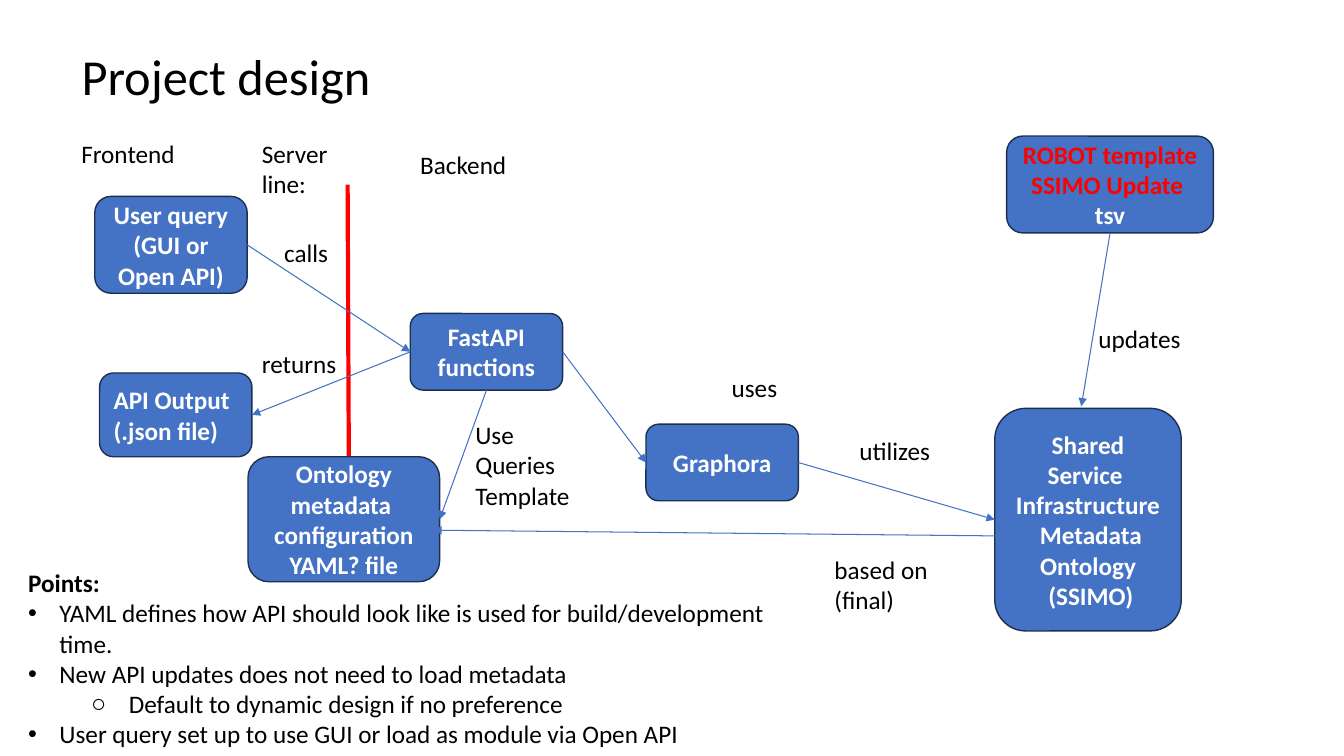
from collections import namedtuple
from dataclasses import dataclass

from lxml.etree import SubElement
from pptx import Presentation
from pptx.dml.color import RGBColor as Rgb
from pptx.enum.shapes import MSO_CONNECTOR as Connector, MSO_SHAPE as Preset
from pptx.enum.text import MSO_ANCHOR as Anchor, MSO_AUTO_SIZE as AutoSize, PP_ALIGN as Align
from pptx.oxml.ns import qn
from pptx.util import Cm, Pt

Box = namedtuple("Box", "left top width height")


@dataclass(frozen=True)
class Theme:
    """Colours, font and sizes used on the slide."""
    font: str = "Calibri"
    title: Pt = Pt(36)
    body: Pt = Pt(18)
    ink: Rgb = Rgb(0, 0, 0)
    paper: Rgb = Rgb(255, 255, 255)
    accent: Rgb = Rgb(0x44, 0x72, 0xC4)
    edge: Rgb = Rgb(0x1C, 0x30, 0x52)
    alert: Rgb = Rgb(255, 0, 0)
    thin: Pt = Pt(0.75)
    outline: Pt = Pt(1)
    thick: Pt = Pt(3)


THEME = Theme()
TOP, LEFT, BOTTOM, RIGHT = range(4)  # connection sites of a node


def apply(target, values):
    """Set every attribute in a dict of format values."""
    for name, value in values.items():
        setattr(target, name, value)


def inside(region, left, top, width, height):
    """Return lengths for a part placed relative to its region."""
    return [Cm(n) for n in (region.left + left, region.top + top, width, height)]


def write_lines(frame, lines, color, size=THEME.body, bold=False, align=Align.LEFT):
    """Write one paragraph per line and return the paragraphs."""
    for index, line in enumerate(lines):
        para = frame.paragraphs[0] if index == 0 else frame.add_paragraph()
        para.alignment = align
        span = para.add_run()
        span.text = line
        apply(span.font, {"name": THEME.font, "size": size, "bold": bold})
        span.font.color.rgb = color
    return frame.paragraphs


def add_node(page, place, lines, align=Align.CENTER):
    """Add a rounded blue box with bold text."""
    node = page.shapes.add_shape(Preset.ROUNDED_RECTANGLE, *place)
    node.shadow.inherit = False
    node.fill.solid()
    node.fill.fore_color.rgb = THEME.accent
    node.line.color.rgb = THEME.edge
    node.line.width = THEME.outline
    apply(node.text_frame, {"word_wrap": True, "vertical_anchor": Anchor.MIDDLE})
    write_lines(node.text_frame, lines, THEME.paper, bold=True, align=align)
    return node


def add_label(page, place, lines, pad=0.13):
    """Add plain text and return its paragraphs."""
    frame = page.shapes.add_textbox(*place).text_frame
    apply(frame, {"word_wrap": True, "auto_size": AutoSize.SHAPE_TO_FIT_TEXT,
                  "margin_top": Cm(pad), "margin_bottom": Cm(pad)})
    return write_lines(frame, lines, THEME.ink)


def add_line(page, start=(0, 0), end=(0, 0), color=THEME.accent, width=THEME.thin):
    """Add a straight line without shadow."""
    line = page.shapes.add_connector(Connector.STRAIGHT, *map(Cm, (*start, *end)))
    line.line.color.rgb = color
    line.line.width = width
    SubElement(line.element.spPr, qn("a:effectLst"))
    return line


def add_arrow(page, start, end):
    """Join two ends, each a point or a (node, site) pair, with an arrow."""
    points = [(0, 0) if hasattr(e[0], "text_frame") else e for e in (start, end)]
    arrow = add_line(page, *points)
    for place, connect in ((start, arrow.begin_connect), (end, arrow.end_connect)):
        if hasattr(place[0], "text_frame"):
            connect(*place)
    SubElement(arrow.line._get_or_add_ln(), qn("a:tailEnd"), type="triangle")


def add_bullet(para, char, margin, hang, level=0):
    """Give a paragraph a hanging bullet."""
    para.level = level
    props = para._p.get_or_add_pPr()
    props.set("marL", str(Cm(margin)))
    props.set("indent", str(-Cm(hang)))
    SubElement(SubElement(props, qn("a:buClr")), qn("a:srgbClr"), val=str(THEME.ink))
    SubElement(props, qn("a:buFont"), typeface="Arial")
    SubElement(props, qn("a:buChar"), char=char)


def build_title(page, box):
    """Place and format the slide title."""
    title = page.shapes.title
    apply(title, dict(zip(box._fields, map(Cm, box))))
    apply(title.text_frame, {"vertical_anchor": Anchor.MIDDLE, "auto_size": AutoSize.NONE,
                             "word_wrap": True})
    paras = write_lines(title.text_frame, ["Project design"], THEME.ink, THEME.title)
    paras[0].line_spacing = 0.9


def build_frontend(page, box):
    """Draw the user side and the server line; return its nodes."""
    add_line(page, (box.left + 6.96, box.top + 1.3), (box.left + 6.99, box.top + 8.16),
             THEME.alert, THEME.thick)
    for place, lines in (((0, 0, 3.56, 1.02), ["Frontend"]),
                         ((4.55, 0, 3.56, 1.8), ["Server", "line:"]),
                         ((5.11, 2.49, 1.7, 1.02), ["calls"]),
                         ((4.55, 5.29, 2.79, 1.02), ["returns"])):
        add_label(page, inside(box, *place), lines)
    query = add_node(page, inside(box, 0.59, 1.6, 3.84, 2.44),
                     ["User query", "(GUI or Open API)"])
    output = add_node(page, inside(box, 0.71, 6.05, 3.84, 2.11),
                      ["API Output", "(.json file)"], Align.LEFT)
    config = add_node(page, inside(box, 4.45, 8.16, 4.83, 3.15),
                      ["Ontology metadata ", "configuration", "YAML? file"])
    return query, output, config


def build_backend(page, box):
    """Draw the service side; return its nodes."""
    for place, lines, pad in (((0, 0, 3.56, 1.02), ["Backend"], 0.13),
                              ((7.85, 5.62, 1.7, 1.02), ["uses"], 0.13),
                              ((1.39, 6.81, 3.35, 2.57), ["Use", "Queries", "Template"], 0.13),
                              ((11.07, 7.09, 3.07, 1.27), ["utilizes"], 0.25),
                              ((10.44, 10.09, 3.07, 2.06), ["based on", "(final)"], 0.25)):
        add_label(page, inside(box, *place), lines, pad)
    functions = add_node(page, inside(box, 0, 4.27, 3.84, 1.93), ["FastAPI functions"])
    store = add_node(page, inside(box, 5.94, 7.06, 3.84, 1.93), ["Graphora"])
    return functions, store


def build_ontology(page, box):
    """Draw the ontology and its update template; return both nodes."""
    update = add_node(page, inside(box, 0.3, 0, 5.21, 2.44),
                      ["ROBOT template", "SSIMO Update\u00a0", "tsv"])
    for para in update.text_frame.paragraphs[:2]:
        para.runs[0].font.color.rgb = THEME.alert
    ontology = add_node(page, inside(box, 0, 6.86, 4.7, 5.61),
                        ["Shared Service\u00a0", "Infrastructure\u00a0Metadata",
                         "Ontology", "\u00a0(SSIMO)"])
    add_label(page, inside(box, 2.36, 4.6, 2.79, 1.02), ["updates"])
    return update, ontology


def build_points(page, box):
    """Write the bulleted notes."""
    heading, *points = add_label(page, inside(box, 0, 0, box.width, box.height), [
        "Points:",
        "YAML defines how API should look like is used for build/development time.",
        "New API updates does not need to load metadata",
        "Default to dynamic design if no preference",
        "User query set up to use GUI or load as module via Open API"])
    heading.runs[0].font.bold = True
    for index, para in enumerate(points):
        if index == 2:
            add_bullet(para, "\u25cb", 2.54, 0.95, level=1)
        else:
            add_bullet(para, "\u2022", 0.79, 0.79)


def build_slide(deck):
    """Build the project design slide."""
    page = deck.slides.add_slide(deck.slide_layouts[5])
    build_title(page, Box(1.8, 1.02, 29.21, 1.93))
    query, output, config = build_frontend(page, Box(1.8, 3.35, 9.3, 11.3))
    functions, store = build_backend(page, Box(10.34, 3.63, 14.2, 12.2))
    update, ontology = build_ontology(page, Box(25.07, 3.43, 5.5, 12.5))
    build_points(page, Box(0.46, 14.17, 20.19, 5.64))
    for start, end in (((query, RIGHT), (functions, LEFT)),
                       ((functions, LEFT), (output, RIGHT)),
                       ((functions, BOTTOM), (config, RIGHT)),
                       ((functions, RIGHT), (store, LEFT)),
                       ((store, RIGHT), (ontology, LEFT)),
                       ((update, BOTTOM), (27.25, 10.24)),
                       ((25.7, 13.51), (10.92, 13.36))):
        add_arrow(page, start, end)


deck = Presentation()
apply(deck, {"slide_width": Cm(33.87), "slide_height": Cm(19.05)})
build_slide(deck)
deck.save("out.pptx")
